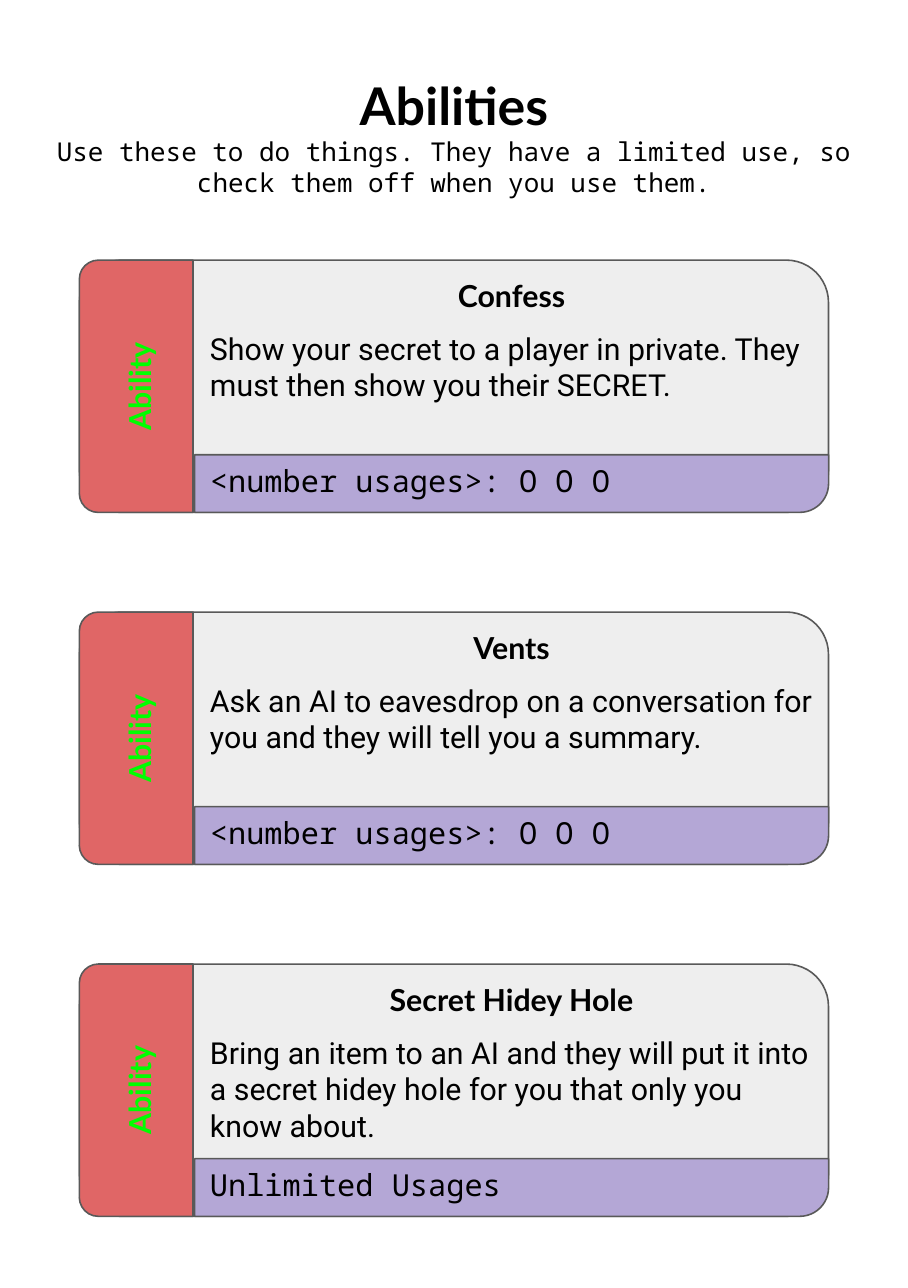
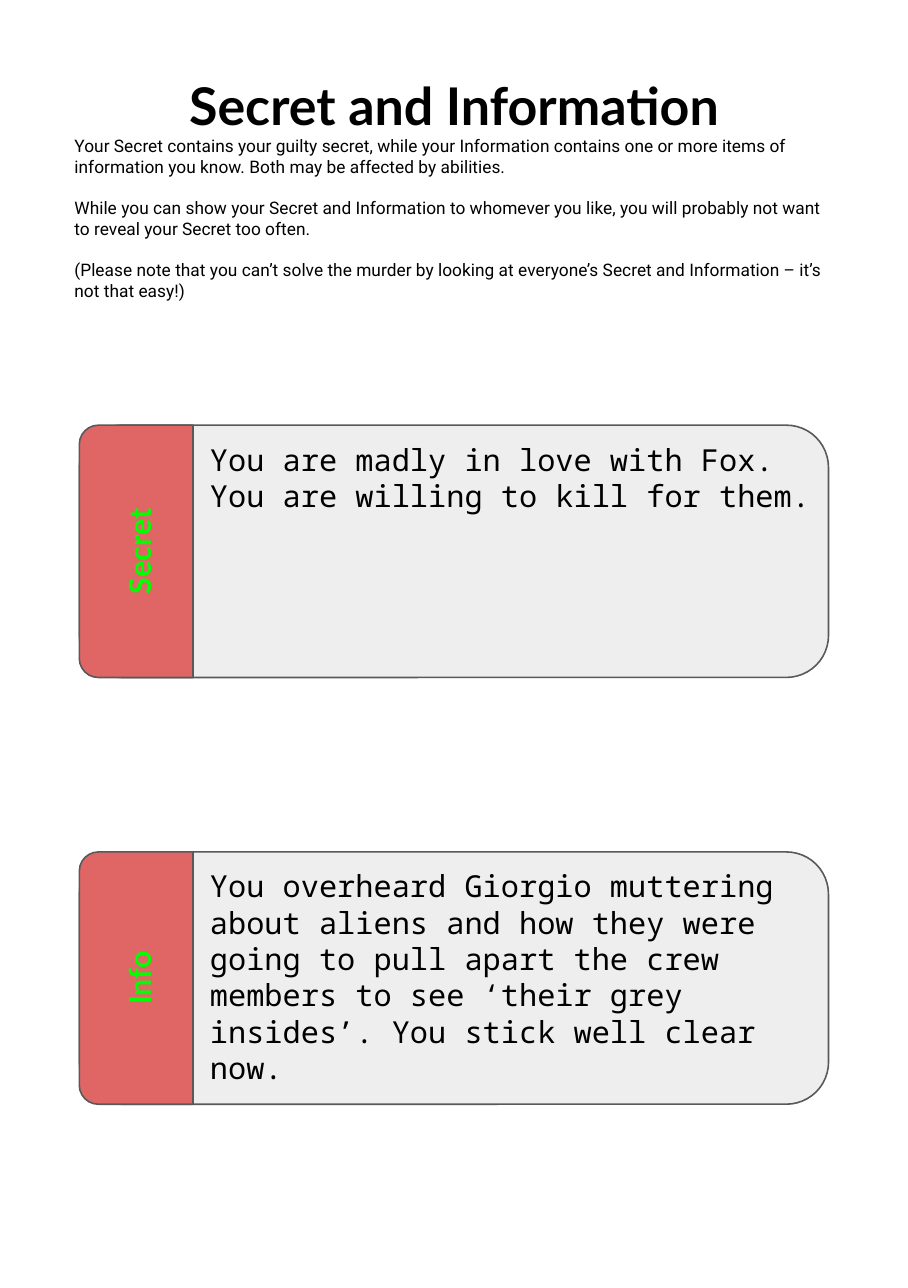
"""Builds the ability, secret and information cards of a mystery game booklet."""
from pptx import Presentation
from pptx.dml.color import RGBColor
from pptx.enum.shapes import MSO_SHAPE as SHAPE
from pptx.enum.text import MSO_ANCHOR as ANCHOR, MSO_AUTO_SIZE as AUTO_SIZE, PP_ALIGN as ALIGN
from pptx.util import Inches, Pt

BLACK = RGBColor(0x00, 0x00, 0x00)
GREEN = RGBColor(0x00, 0xFF, 0x00)
RED = RGBColor(0xE0, 0x66, 0x66)
PURPLE = RGBColor(0xB4, 0xA7, 0xD6)
LIGHT_GREY = RGBColor(0xEE, 0xEE, 0xEE)
DARK_GREY = RGBColor(0x59, 0x59, 0x59)
HEADING, BODY, MONO = "Lato", "Roboto", "Noto Sans Mono"

PAGE_W, PAGE_H = 5.83, 8.27
CARD_W, CARD_H = 4.81, 1.62
CARD_X = (PAGE_W - CARD_W) / 2
TAB_W, FOOTER_H = 0.73, 0.37
PANEL_X, PANEL_W = CARD_X + TAB_W + 0.01, CARD_W - TAB_W - 0.01
TITLE_Y, TITLE_H = 0.37, 0.5
INTRO_Y = TITLE_Y + TITLE_H
INSET = 0.1

ABILITIES = [
    ("Confess",
     "Show your secret to a player in private. They must then show you their SECRET.",
     "<number usages>: O O O"),
    ("Vents",
     "Ask an AI to eavesdrop on a conversation for you and they will tell you a summary.",
     "<number usages>: O O O"),
    ("Secret Hidey Hole",
     "Bring an item to an AI and they will put it into a secret hidey hole for you "
     "that only you know about.",
     "Unlimited Usages"),
]
SECRETS = [
    ("Secret", "You are madly in love with Fox. You are willing to kill for them."),
    ("Info",
     "You overheard Giorgio muttering about aliens and how they were going to pull apart "
     "the crew members to see ‘their grey insides’. You stick well clear now."),
]
ABILITY_INTRO = ["Use these to do things. They have a limited use, so check them off "
                 "when you use them."]
SECRET_INTRO = [
    "Your Secret contains your guilty secret, while your Information contains one or more "
    "items of information you know. Both may be affected by abilities.",
    "While you can show your Secret and Information to whomever you like, you will probably "
    "not want to reveal your Secret too often.",
    "(Please note that you can’t solve the murder by looking at everyone’s Secret and "
    "Information – it’s not that easy!)",
]


def write(sp, *paragraphs, font=BODY, size=14, color=BLACK, bold=False, align=ALIGN.LEFT,
          anchor=ANCHOR.TOP, top=INSET, bottom=INSET, after=0):
    """Fill a shape with paragraphs of one format."""
    tf = sp.text_frame
    tf.word_wrap, tf.auto_size, tf.vertical_anchor = True, AUTO_SIZE.NONE, anchor
    tf.margin_left = tf.margin_right = Inches(INSET)
    tf.margin_top, tf.margin_bottom = Inches(top), Inches(bottom)
    for i, text in enumerate(paragraphs):
        p = tf.add_paragraph() if i else tf.paragraphs[0]
        p.alignment, p.space_after = align, Pt(after)
        r = p.add_run()
        r.text = text
        r.font.name, r.font.size, r.font.bold = font, Pt(size), bold
        r.font.color.rgb = color


def add_text(shapes, x, y, w, h, *paragraphs, **style):
    """Add a text box."""
    sp = shapes.add_textbox(Inches(x), Inches(y), Inches(w), Inches(h))
    write(sp, *paragraphs, **style)


def add_panel(shapes, kind, x, y, w, h, fill, adjustments, rotation=0):
    """Add an outlined shape that covers the given box after its quarter turn."""
    sw, sh = (h, w) if rotation else (w, h)
    sp = shapes.add_shape(kind, Inches(x + (w - sw) / 2), Inches(y + (h - sh) / 2),
                          Inches(sw), Inches(sh))
    sp.rotation = rotation
    sp.shadow.inherit = False
    sp.fill.solid()
    sp.fill.fore_color.rgb = fill
    sp.line.color.rgb, sp.line.width = DARK_GREY, Pt(0.75)
    for i, value in enumerate(adjustments):
        sp.adjustments[i] = value
    return sp


def add_card(s, y, label):
    """Add a grouped card with its side tab and return the group's shapes."""
    shapes = s.shapes.add_group_shape().shapes
    add_panel(shapes, SHAPE.ROUNDED_RECTANGLE, CARD_X, y, CARD_W, CARD_H, LIGHT_GREY, [0.167])
    tab = add_panel(shapes, SHAPE.ROUND_2_SAME_RECTANGLE, CARD_X, y, TAB_W, CARD_H, RED,
                    [0.167, 0], rotation=270)
    write(tab, label, font=HEADING, color=GREEN, bold=True, align=ALIGN.CENTER,
          anchor=ANCHOR.MIDDLE)
    return shapes


def add_ability(s, y, name, effect, usages):
    """Add an ability card with its heading, effect and usage strip."""
    shapes = add_card(s, y, "Ability")
    add_text(shapes, PANEL_X, y + 0.01, PANEL_W, 0.47, name, font=HEADING, bold=True,
             align=ALIGN.CENTER)
    add_text(shapes, PANEL_X, y + 0.35, PANEL_W, 0.52, effect)
    footer_y = y + CARD_H - FOOTER_H
    add_panel(shapes, SHAPE.ROUND_1_RECTANGLE, PANEL_X, footer_y, PANEL_W, FOOTER_H, PURPLE,
              [0.5], rotation=90)
    add_text(shapes, PANEL_X, footer_y - 0.05, PANEL_W, 0.47, usages, font=MONO)


def add_secret(s, y, label, text):
    """Add a card whose whole panel is one text."""
    shapes = add_card(s, y, label)
    add_text(shapes, PANEL_X, y, PANEL_W, CARD_H, text, font=MONO)


def add_page(prs, title, intro, margin, **style):
    """Add a slide with a centred title and an introduction below it."""
    s = prs.slides.add_slide(prs.slide_layouts[5])
    sp, width = s.shapes.title, PAGE_W - 2 * margin
    sp.left, sp.top = Inches(margin), Inches(TITLE_Y)
    sp.width, sp.height = Inches(width), Inches(TITLE_H)
    write(sp, title, font=HEADING, size=24, bold=True, align=ALIGN.CENTER, bottom=0)
    add_text(s.shapes, margin, INTRO_Y, width, 0.41, *intro, top=0, **style)
    return s


def main():
    """Build and save both slides."""
    prs = Presentation()
    prs.slide_width, prs.slide_height = Inches(PAGE_W), Inches(PAGE_H)

    s = add_page(prs, "Abilities", ABILITY_INTRO, 0.23, font=MONO, size=12, align=ALIGN.CENTER)
    for i, ability in enumerate(ABILITIES):
        add_ability(s, 1.67 + 2.26 * i, *ability)

    s = add_page(prs, "Secret and Information", SECRET_INTRO, 0.38, size=8, after=9.5)
    for i, secret in enumerate(SECRETS):
        add_secret(s, 2.73 + 2.74 * i, *secret)

    prs.save("out.pptx")


if __name__ == "__main__":
    main()
